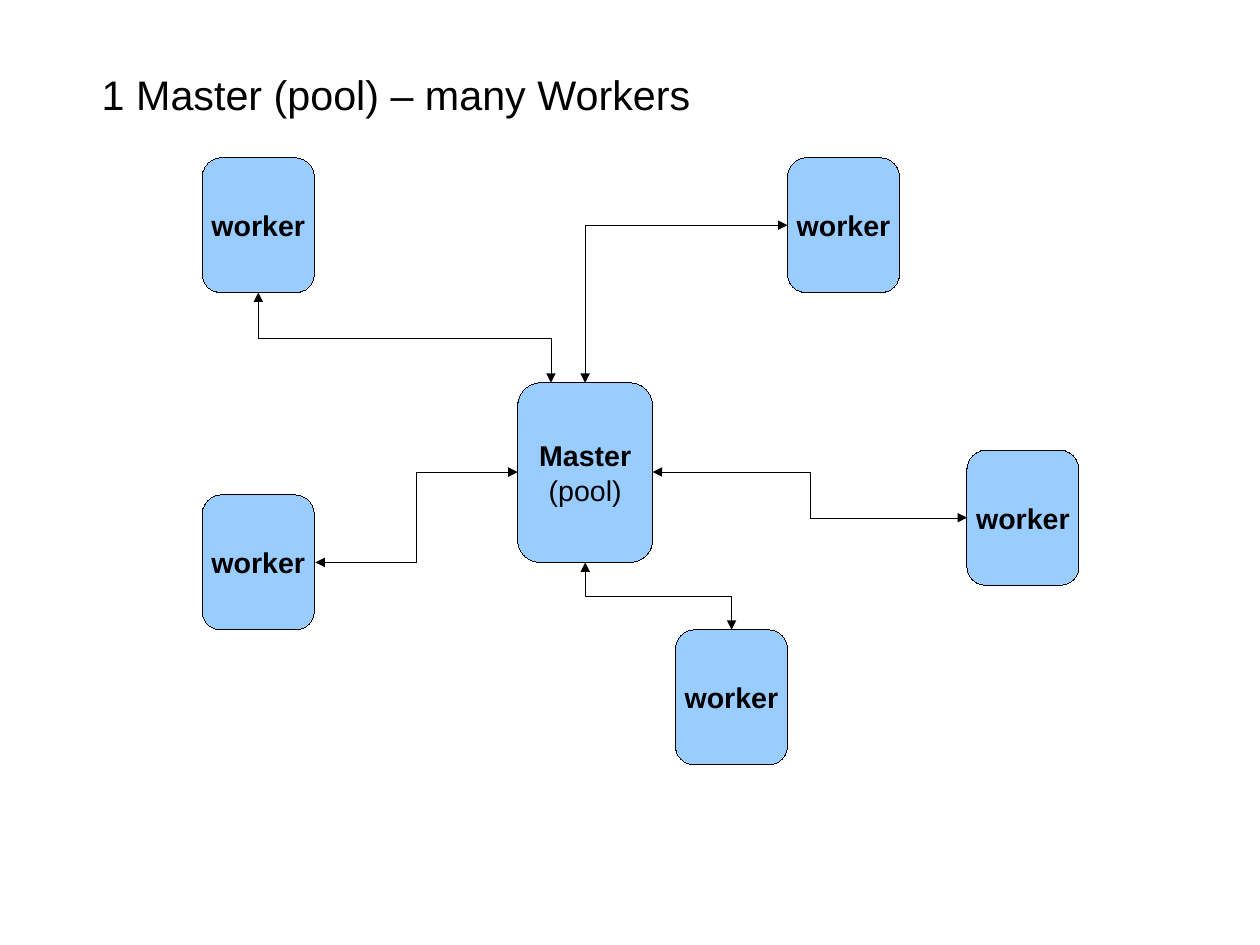
from lxml.etree import SubElement
from pptx import Presentation
from pptx.dml.color import RGBColor
from pptx.enum.shapes import MSO_CONNECTOR, MSO_SHAPE
from pptx.enum.text import MSO_ANCHOR, PP_ALIGN
from pptx.oxml.ns import qn
from pptx.util import Cm, Inches, Pt

BLACK = "000000"
NODE_FILL = "99CCFF"
WORKER_SIZE = (0.98, 1.18)
WORKER_PLACES = [(5.91, 5.51), (8.46, 3.94), (1.77, 4.33), (6.89, 1.38), (1.77, 1.38)]
LINKS = [
    ((5.71, 4.13), (8.46, 4.53), 0, "bentConnector3"),
    ((5.12, 4.92), (6.4, 5.51), 270, "bentConnector3"),
    ((4.53, 4.13), (2.76, 4.92), 0, "bentConnector3"),
    ((4.82, 3.35), (2.26, 2.56), 270, "bentConnector3"),
    ((5.12, 3.35), (6.89, 1.97), 90, "bentConnector2"),
]


def color(value):
    """Turn a hex string into a colour."""
    return RGBColor.from_string(value)


def style_font(font, size, bold=False):
    """Set the common typeface with a size and weight."""
    font.name = "Arial"
    font.size = Pt(size)
    font.bold = bold
    font.color.rgb = color(BLACK)


def set_hairline(shape):
    """Give a shape the thinnest black line, free of the theme style."""
    shape._element.remove(shape._element.find(qn("p:style")))
    shape.line.color.rgb = color(BLACK)
    shape.line.width = Pt(0)


def add_title(page, text):
    """Place and format the slide title."""
    title = page.shapes.title
    title.left, title.top = Inches(0.79), Inches(0.56)
    title.width, title.height = Inches(5.36), Inches(0.5)
    title.text = text
    frame = title.text_frame
    frame.word_wrap = False
    frame.vertical_anchor = MSO_ANCHOR.TOP
    para = frame.paragraphs[0]
    para.alignment = PP_ALIGN.LEFT
    para.line_spacing = 1.0
    para.space_before = Pt(0)
    style_font(para.font, 26)


def add_node(page, place, size, lines):
    """Add a rounded box whose first line is bold."""
    box = page.shapes.add_shape(
        MSO_SHAPE.ROUNDED_RECTANGLE, *(Inches(value) for value in place + size)
    )
    box.shadow.inherit = False
    box.fill.solid()
    box.fill.fore_color.rgb = color(NODE_FILL)
    set_hairline(box)
    frame = box.text_frame
    frame.word_wrap = False
    frame.vertical_anchor = MSO_ANCHOR.MIDDLE
    frame.text = "\n".join(lines)
    for index, para in enumerate(frame.paragraphs):
        para.alignment = PP_ALIGN.CENTER
        style_font(para.font, 18, bold=index == 0)


def add_link(page, start, end, turn, bend):
    """Add a double-headed elbow, turned when it leaves vertically."""
    across, down = end[0] - start[0], end[1] - start[1]
    middle_x, middle_y = (start[0] + end[0]) / 2, (start[1] + end[1]) / 2
    run, rise = {0: (across, down), 90: (down, -across), 270: (-down, across)}[turn]
    link = page.shapes.add_connector(
        MSO_CONNECTOR.ELBOW,
        Inches(middle_x - run / 2),
        Inches(middle_y - rise / 2),
        Inches(middle_x + run / 2),
        Inches(middle_y + rise / 2),
    )
    set_hairline(link)
    properties = link._element.spPr
    properties.find(qn("a:prstGeom")).set("prst", bend)
    if turn:
        properties.find(qn("a:xfrm")).set("rot", str(turn * 60000))
    outline = properties.find(qn("a:ln"))
    for tip in ("a:headEnd", "a:tailEnd"):
        SubElement(outline, qn(tip), type="triangle")
    SubElement(properties, qn("a:effectLst"))


def main():
    """Build the master and workers slide."""
    deck = Presentation()
    deck.slide_width, deck.slide_height = Cm(28), Cm(21)
    page = deck.slides.add_slide(deck.slide_layouts[5])
    add_title(page, "1 Master (pool) – many Workers")
    for place in WORKER_PLACES:
        add_node(page, place, WORKER_SIZE, ["worker"])
    for link in LINKS:
        add_link(page, *link)
    add_node(page, (4.53, 3.35), (1.18, 1.57), ["Master", "(pool)"])
    deck.save("out.pptx")


if __name__ == "__main__":
    main()
